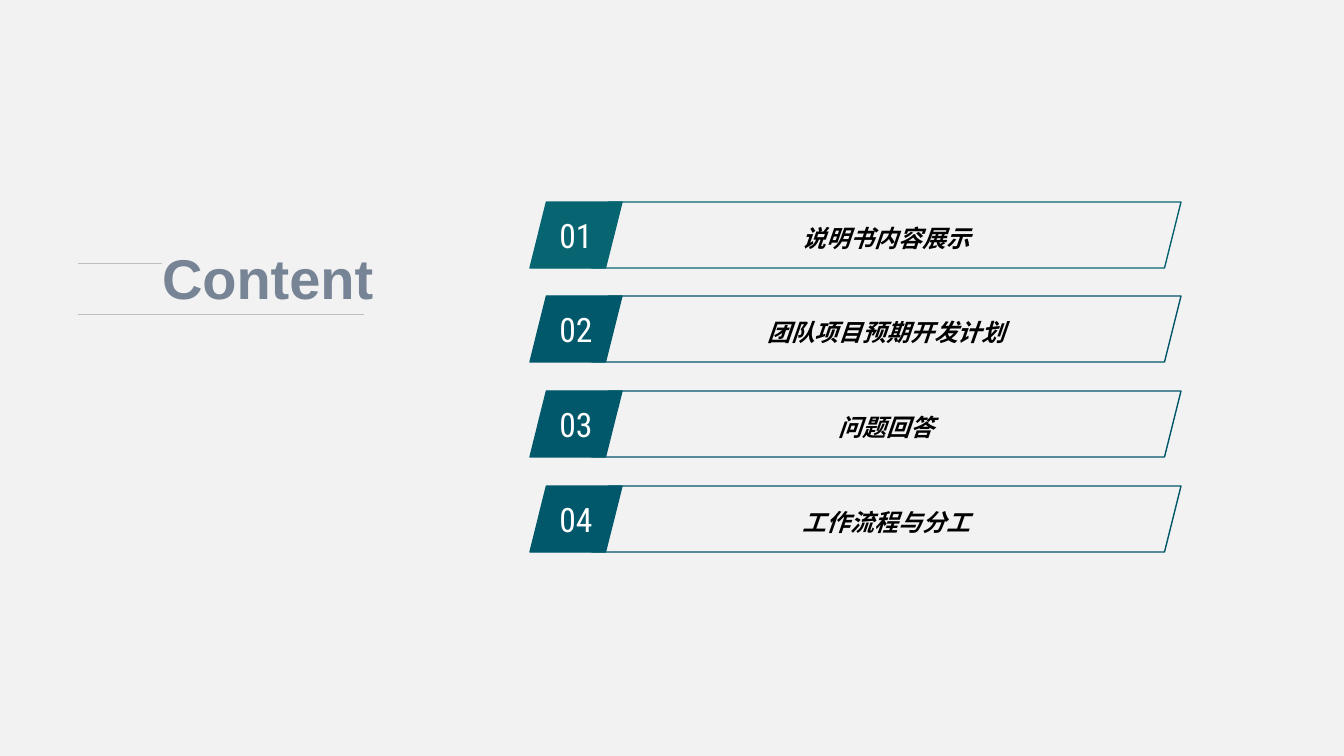
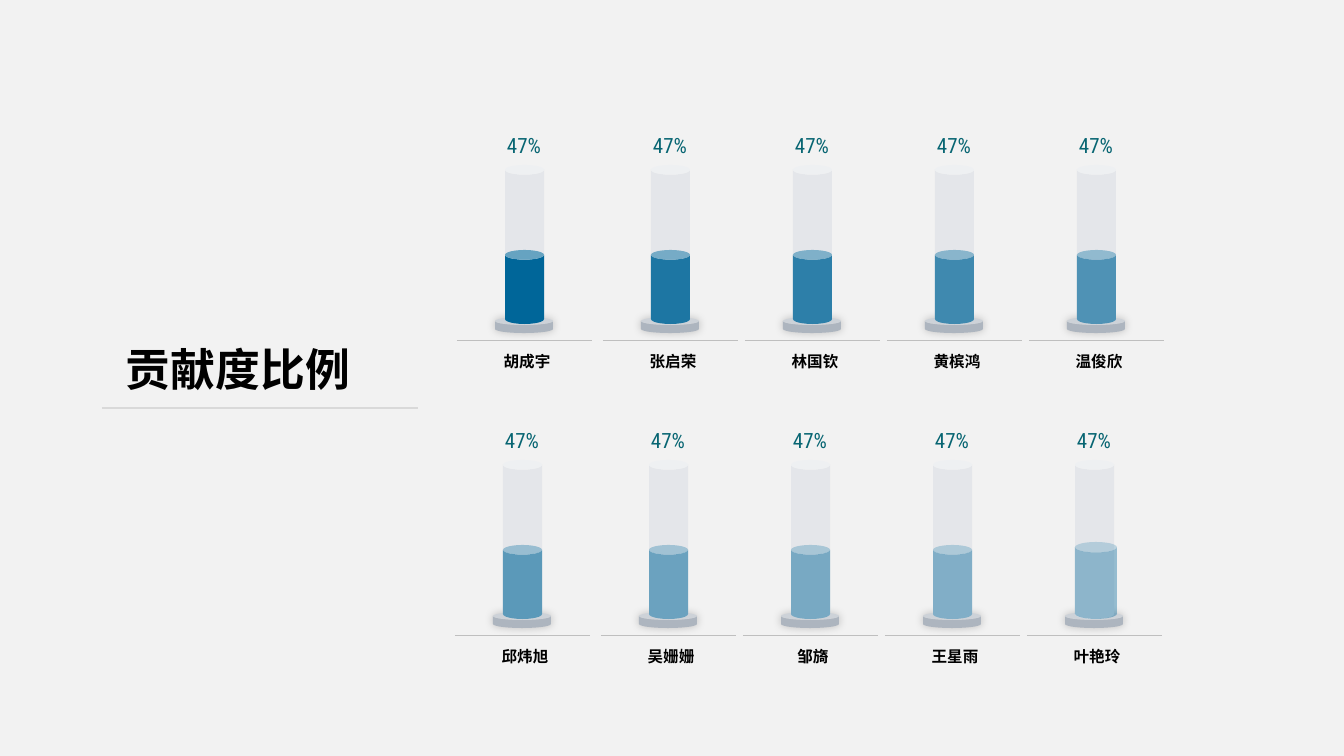
"""Build a contents slide and a contribution slide."""
from dataclasses import dataclass

from lxml.etree import SubElement
from pptx import Presentation
from pptx.dml.color import RGBColor
from pptx.enum.shapes import MSO_CONNECTOR, MSO_SHAPE
from pptx.enum.text import MSO_ANCHOR, PP_ALIGN
from pptx.oxml.ns import qn
from pptx.util import Pt

PX = 9071


@dataclass(frozen=True)
class Theme:
    paper: str = "F2F2F2"
    teal: str = "076572"
    petrol: str = "00586A"
    liquid: str = "006699"
    glass: str = "E4E6EA"
    base: str = "ADB5BF"
    rule: str = "BFBFBF"
    title_rule: str = "D9D9D9"
    slate: str = "778495"
    black: str = "000000"
    white: str = "FFFFFF"
    latin: str = "Arial"
    cjk: str = "Noto Sans CJK SC"
    digits: str = "Roboto Condensed"
    heading: float = 40
    title: float = 32
    number: float = 24
    item: float = 17
    percent: float = 15
    name: float = 11.1


T = Theme()


def write(sp, text, size, font=T.latin, color=T.black, bold=False, italic=False,
          align=PP_ALIGN.CENTER, anchor=MSO_ANCHOR.MIDDLE, spacing=None,
          wrap=False, inset=(10, 5, 10, 5)):
    tf = sp.text_frame
    tf.word_wrap = wrap
    tf.vertical_anchor = anchor
    tf.margin_left, tf.margin_top, tf.margin_right, tf.margin_bottom = (v * PX for v in inset)
    p = tf.paragraphs[0]
    p.alignment = align
    p.line_spacing = spacing
    r = p.add_run()
    r.text = text
    r.font.name = font
    r.font.size = Pt(size)
    r.font.bold = bold
    r.font.italic = italic
    r.font.color.rgb = RGBColor.from_string(color)
    SubElement(r.font._element, qn("a:ea"), typeface=T.cjk)


def add_rule(shapes, x1, x2, y, width, color=T.rule):
    line = shapes.add_connector(MSO_CONNECTOR.STRAIGHT, x1 * PX, y * PX, x2 * PX, y * PX)
    line.line.color.rgb = RGBColor.from_string(color)
    line.line.width = Pt(width)
    SubElement(line._element.spPr, qn("a:effectLst"))


prs = Presentation()
prs.slide_width, prs.slide_height = 1344 * PX, 756 * PX
blank = prs.slide_layouts[6]
bg = prs.slide_master.background.fill
bg.solid()
bg.fore_color.rgb = RGBColor.from_string(T.paper)

s = prs.slides.add_slide(blank)
items = ["说明书内容展示", "团队项目预期开发计划", "问题回答", "工作流程与分工"]
for i, item in enumerate(items):
    color = RGBColor.from_string(T.petrol if i else T.teal)
    y = 202 + 284 * i // 3
    row = s.shapes.add_group_shape().shapes
    number, label = [
        row.add_shape(MSO_SHAPE.PARALLELOGRAM, x * PX, y * PX, w * PX, 66 * PX)
        for x, w in ((530, 92), (592, 589))
    ]
    for sp in (number, label):
        sp.shadow.inherit = False
        sp.line.color.rgb = color
        sp.line.width = Pt(1)
    number.fill.solid()
    number.fill.fore_color.rgb = color
    label.fill.background()
    write(number, f"{i + 1:02}", T.number, font=T.digits, color=T.white)
    write(label, item, T.item, font=T.cjk, bold=True, italic=True, spacing=1.2, wrap=True)

add_rule(s.shapes, 78, 162, 263, 0.5)
add_rule(s.shapes, 78, 364, 314, 0.5)
heading = s.shapes.add_textbox(152 * PX, 245 * PX, 250 * PX, 73 * PX)
write(heading, "Content", T.heading, color=T.slate, bold=True, align=PP_ALIGN.LEFT, spacing=0.9)

s = prs.slides.add_slide(blank)
columns = (457, 603, 745, 887, 1029)
members = [
    [("胡成宇", 100), ("张启荣", 87), ("林国钦", 80), ("黄槟鸿", 72), ("温俊欣", 65)],
    [("邱炜旭", 60), ("吴姗姗", 53), ("邹旖", 47), ("王星雨", 43), ("叶艳玲", 38)],
]
for j, team in enumerate(members):
    y = 295 * j
    for column, (name, opacity) in zip(columns, team):
        x = column - 2 * j
        grow = 3 if name == "叶艳玲" else 0
        gauge = s.shapes.add_group_shape().shapes
        cans = []
        for dx, dy, w, h, color in (
            (38, 317, 58, 16, T.base),
            (48, 165, 39, 159, T.glass),
            (48, 250 - grow, 39 + grow, 74 + grow, T.liquid),
        ):
            sp = gauge.add_shape(MSO_SHAPE.CAN, (x + dx) * PX, (y + dy) * PX, w * PX, h * PX)
            sp.shadow.inherit = False
            sp.fill.solid()
            sp.fill.fore_color.rgb = RGBColor.from_string(color)
            sp.line.fill.background()
            cans.append(sp)
        base, _, liquid = cans
        base.adjustments[0] = 0.5
        glow = SubElement(base._element.spPr.find(qn("a:effectLst")), qn("a:outerShdw"),
                          blurRad=str(Pt(6)), dist="0", dir="13500000", rotWithShape="0")
        shade = SubElement(glow, qn("a:srgbClr"), val=T.black)
        SubElement(shade, qn("a:alpha"), val="20000")
        if opacity < 100:
            tint = liquid._element.spPr.find(".//" + qn("a:srgbClr"))
            SubElement(tint, qn("a:alpha"), val=str(opacity * 1000))
        percent = gauge.add_textbox((x + 42) * PX, (y + 137) * PX, 50 * PX, 16 * PX)
        write(percent, "47%", T.percent, font=T.digits, color=T.teal, inset=(0, 0, 0, 0))
        caption = gauge.add_textbox((x + 2) * PX, (y + 352) * PX, 136 * PX, 16 * PX)
        write(caption, name, T.name, bold=True, anchor=MSO_ANCHOR.TOP, inset=(0, 0, 0, 0))
        add_rule(gauge, x, x + 135, y + 340, 0.25)

title = s.shapes.add_textbox(95 * PX, 317 * PX, 279 * PX, 84 * PX)
write(title, "贡献度比例", T.title, bold=True, align=PP_ALIGN.LEFT, anchor=MSO_ANCHOR.BOTTOM,
      spacing=0.9, wrap=True, inset=(31, 5, 10, 5))
add_rule(s.shapes, 102, 418, 408, 1.5, T.title_rule)

prs.save("out.pptx")
